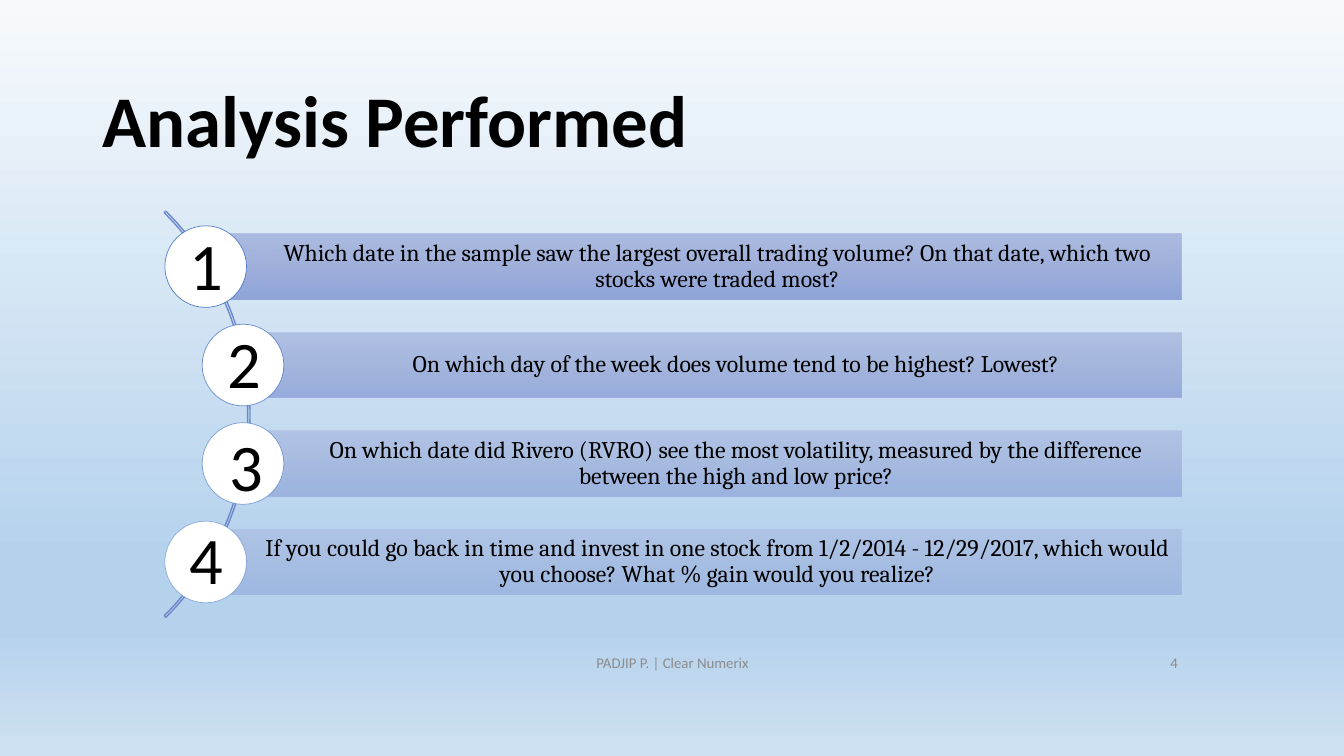
"""Build the Analysis Performed slide with four numbered questions."""
from dataclasses import dataclass

from lxml.etree import SubElement
from pptx import Presentation
from pptx.dml.color import RGBColor
from pptx.enum.shapes import MSO_SHAPE as SHAPE
from pptx.enum.text import MSO_ANCHOR as ANCHOR, PP_ALIGN as ALIGN
from pptx.oxml.ns import qn
from pptx.util import Inches, Pt

BLACK = RGBColor(0x00, 0x00, 0x00)
WHITE = RGBColor(0xFF, 0xFF, 0xFF)
GREY = RGBColor(0x8C, 0x8C, 0x8C)
ARC_BLUE = RGBColor(0x6D, 0x89, 0xCB)
RING_BLUE = RGBColor(0x44, 0x72, 0xC4)
SKY = [(0, RGBColor(0xF7, 0xFA, 0xFD)), (74, RGBColor(0xB5, 0xD2, 0xEC)),
       (83, RGBColor(0xB5, 0xD2, 0xEC)), (100, RGBColor(0xCE, 0xE1, 0xF2))]
BAR = [(0, RGBColor(0xA8, 0xB7, 0xDF)), (50, RGBColor(0x9A, 0xAB, 0xD9)),
       (100, RGBColor(0x88, 0x9E, 0xD7))]

BAR_RIGHT, BAR_HEIGHT, FIRST_TOP = 11.72, 0.65, 2.32
PITCH = 2.93 / 3
DISC = 0.81
FADE = 40 / 3


@dataclass
class Question:
    text: str
    bar_left: float
    number_left: float
    number_top: float


@dataclass
class Label:
    text: str
    box: tuple[float, float, float, float]
    size: float
    color: RGBColor = BLACK
    align: ALIGN = ALIGN.CENTER
    anchor: ANCHOR = ANCHOR.MIDDLE
    bold: bool = False
    spacing: float = 1.0


QUESTIONS = [
    Question("Which date in the sample saw the largest overall trading volume? "
             "On that date, which two stocks were traded most?", 2.04, 1.78, 2.17),
    Question("On which day of the week does volume tend to be highest? Lowest?",
             2.41, 2.16, 3.15),
    Question("On which date did Rivero (RVRO) see the most volatility, measured by "
             "the difference between the high and low price?", 2.41, 2.18, 4.17),
    Question("If you could go back in time and invest in one stock from 1/2/2014 - "
             "12/29/2017, which would you choose? What % gain would you realize?",
             2.04, 1.78, 5.09),
]

LABELS = [
    Label("Analysis Performed", (0.92, 0.61, 11.5, 1.24), 52,
          align=ALIGN.LEFT, bold=True, spacing=0.9),
    Label("PADJIP P. | Clear Numerix", (4.67, 6.4, 4, 0.35), 10.6, GREY),
    Label("4", (9.11, 6.4, 2.67, 0.35), 10.6, GREY, ALIGN.RIGHT),
]


def set_all(obj, values: dict) -> None:
    for name, value in values.items():
        setattr(obj, name, value)


def set_alpha(clr, alpha: float) -> None:
    SubElement(clr, qn("a:alpha")).set("val", str(round(alpha * 1000)))


def set_gradient(fill, root, stops: list, alpha: float = 100) -> None:
    fill.gradient()
    fill.gradient_angle = 270
    gs_list = next(root.iter(qn("a:gsLst")))
    for gs in list(gs_list):
        gs_list.remove(gs)
    for pos, color in stops:
        gs = SubElement(gs_list, qn("a:gs"), pos=str(pos * 1000))
        clr = SubElement(gs, qn("a:srgbClr"), val=str(color))
        if alpha < 100:
            set_alpha(clr, alpha)


def write(tf, text: str, font: dict, para: dict, frame: dict) -> None:
    set_all(tf, {"word_wrap": True, **frame})
    p = tf.paragraphs[0]
    set_all(p, para)
    r = p.add_run()
    r.text = text
    r.font.color.rgb = font.pop("color")
    set_all(r.font, font)


def add_label(s, label: Label) -> None:
    box = s.shapes.add_textbox(*map(Inches, label.box))
    write(box.text_frame, label.text,
          {"name": "Calibri", "size": Pt(label.size), "bold": label.bold, "color": label.color},
          {"alignment": label.align, "line_spacing": label.spacing},
          {"vertical_anchor": label.anchor})


def add_shape(s, kind: SHAPE, left: float, top: float, width: float, height: float):
    sp = s.shapes.add_shape(kind, *map(Inches, (left, top, width, height)))
    sp.shadow.inherit = False
    return sp


def add_arc(s) -> None:
    sp = add_shape(s, SHAPE.BLOCK_ARC, -3.22, 1.26, 5.7, 5.7)
    for i, value in enumerate((189, 27, 0.004)):
        sp.adjustments[i] = value
    sp.fill.background()
    sp.line.color.rgb = ARC_BLUE
    sp.line.width = Pt(1)


def add_question(s, i: int, q: Question) -> None:
    top, alpha = FIRST_TOP + i * PITCH, 90 - i * FADE
    bar = add_shape(s, SHAPE.RECTANGLE, q.bar_left, top, BAR_RIGHT - q.bar_left, BAR_HEIGHT)
    set_gradient(bar.fill, bar._element, BAR, alpha)
    bar.line.fill.background()
    edge = Inches(0.05)
    write(bar.text_frame, q.text,
          {"name": "Cambria", "size": Pt(17), "color": BLACK},
          {"alignment": ALIGN.CENTER, "line_spacing": 0.9},
          {"vertical_anchor": ANCHOR.MIDDLE, "margin_left": Inches(0.52),
           "margin_right": edge, "margin_top": edge, "margin_bottom": edge})

    disc = add_shape(s, SHAPE.OVAL, q.bar_left - DISC / 2,
                     top + (BAR_HEIGHT - DISC) / 2, DISC, DISC)
    disc.fill.solid()
    disc.fill.fore_color.rgb = WHITE
    disc.line.color.rgb = RING_BLUE
    disc.line.width = Pt(0.5)
    ring = disc._element.spPr.find(qn("a:ln"))
    set_alpha(next(ring.iter(qn("a:srgbClr"))), alpha)
    add_label(s, Label(str(i + 1), (q.number_left, q.number_top, 0.52, 0.9), 47.5,
                       anchor=ANCHOR.TOP))


def main() -> None:
    prs = Presentation()
    set_all(prs, {"slide_width": Inches(13.33), "slide_height": Inches(7.5)})
    s = prs.slides.add_slide(prs.slide_layouts[6])
    set_gradient(s.background.fill, s._element, SKY)
    add_arc(s)
    for i, q in enumerate(QUESTIONS):
        add_question(s, i, q)
    for label in LABELS:
        add_label(s, label)
    prs.save("out.pptx")


if __name__ == "__main__":
    main()
